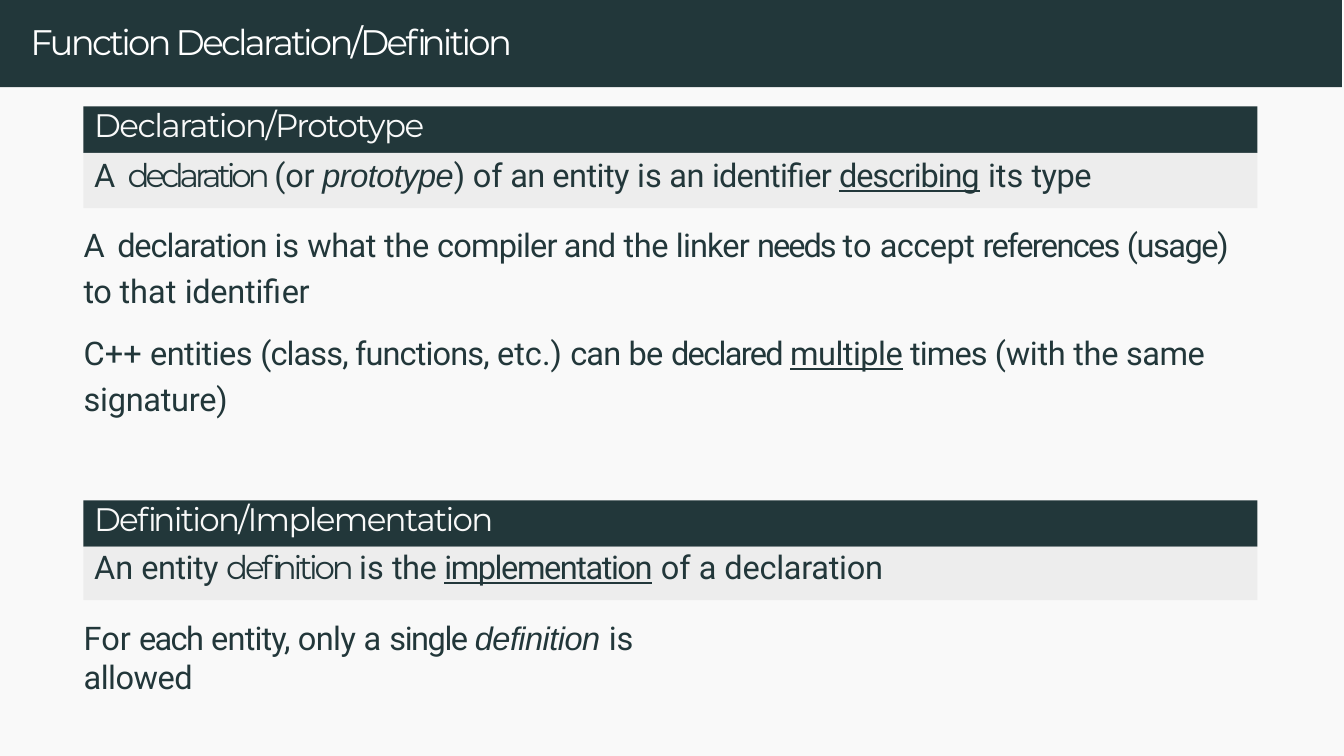
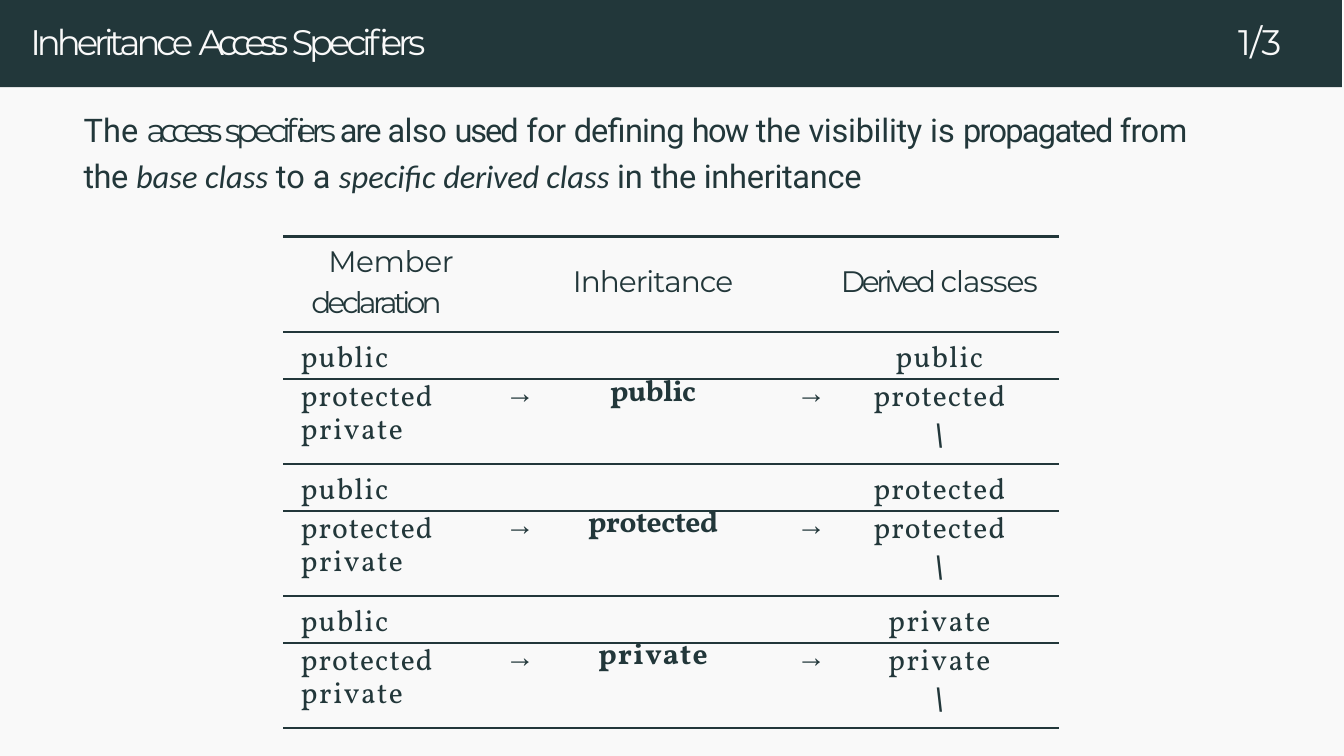
"""Two C++ lecture slides: function declarations and inheritance access specifiers."""
import pptx
import pptx.dml.color
import pptx.enum.shapes
import pptx.enum.text
import pptx.oxml.ns
import pptx.util
from lxml import etree

Pt = pptx.util.Pt
ALIGN = {
    "left": pptx.enum.text.PP_ALIGN.LEFT,
    "center": pptx.enum.text.PP_ALIGN.CENTER,
    "right": pptx.enum.text.PP_ALIGN.RIGHT,
}
COLORS = {"ink": "22373A", "paper": "F9F9F9", "panel": "EDEDED", "white": "FFFFFF"}
FONTS = {
    "body": ("Roboto", ""),
    "under": ("Roboto", "u"),
    "head": ("Montserrat", ""),
    "slant": ("Arial", "i"),
    "term": ("Calibri", "i"),
    "code": ("Vollkorn", ""),
    "strong": ("Vollkorn", "b"),
    "arrow": ("Courier New", ""),
    "slash": ("DejaVu Sans", "i"),
}
SLIDE_WIDTH, SLIDE_HEIGHT, BAND_HEIGHT = 454.32, 255.6, 29.5
NO_STYLE = "{2D5ABB26-0587-4C30-8999-92F81FD0307C}"

DECLARATION_TITLE = [("Function Declaration/Definition", -0.9, "head")]
BLOCKS = [
    (36, 18.7, 0.8, 0.72, [("Declaration/Prototype", -0.5, "head")], [
        ("A ", 0.7, "body"), ("declaration ", -1.4, "head"), ("(or ", -0.1, "body"),
        ("prototype", -0.2, "slant"), (") ", -0.2, "body"), ("of", 0, "body"),
        (" an entity ", -0.2, "body"), ("is", 0, "body"), (" an ", -0.2, "body"),
        ("identifier ", -0.3, "body"), ("describing", -0.4, "under"),
        (" ", -0.2, "body"), ("its ", 0, "body"), ("type", -0.2, "body")]),
    (169.2, 18, 0.2, 0, [("Definition/Implementation", -0.6, "head")], [
        ("An ", 0, "body"), ("entity ", -0.2, "body"), ("definition ", -1.1, "head"),
        ("is ", 0, "body"), ("the ", -0.2, "body"), ("implementation", -0.5, "under"),
        (" ", -0.1, "body"), ("of a", 0, "body"), (" declaration", -0.1, "body")]),
]
USAGE = [
    ("A ", 0.7, "body"), ("declaration ", -0.4, "body"), ("is ", 0, "body"),
    ("what ", -0.2, "body"), ("the ", -0.1, "body"), ("compiler and ", -0.3, "body"),
    ("the", -0.1, "body"), (" linker ", -0.3, "body"), ("needs ", -0.7, "body"),
    ("to ", 0, "body"), ("accept ", -0.2, "body"), ("references ", -0.6, "body"),
    ("(usage) ", -0.5, "body"), ("to ", -0.2, "body"), ("that ", 0, "body"),
    ("identifier", -0.1, "body")]
REPEATS = [
    ("C++ ", 0, "body"), ("entities ", -0.2, "body"),
    ("(class, functions, ", -0.3, "body"), ("etc.) ", 0, "body"),
    ("can ", -0.3, "body"), ("be ", -0.2, "body"), ("declared ", -0.6, "body"),
    ("multiple", -0.2, "under"), (" times ", -0.3, "body"),
    ("(with the", -0.1, "body"), (" same ", -0.2, "body"),
    ("signature)", -0.1, "body")]
SINGLE = [
    ("For ", 0, "body"), ("each", -0.6, "body"), (" entity, ", -0.3, "body"),
    ("only ", -0.2, "body"), ("a ", 0, "body"), ("single ", -0.5, "body"),
    ("definition ", -0.2, "slant"), ("is ", 0, "body"), ("allowed", -0.2, "body")]

ACCESS_TITLE = [("Inheritance ", -1.4, "head"), ("Access ", -2.1, "head"),
                ("Specifiers", -1.4, "head")]
PAGE_COUNT = [("1/3", -0.2, "head")]
ACCESS_INTRO = [
    ("The ", 0, "body"), ("access ", -2.1, "head"), ("specifiers ", -1.6, "head"),
    ("are ", -0.7, "body"), ("also ", -0.2, "body"), ("used", -0.7, "body"),
    (" for ", -0.2, "body"), ("defining ", -0.3, "body"), ("how ", -0.6, "body"),
    ("the visibility ", -0.1, "body"), ("is ", 0, "body"),
    ("propagated ", -0.6, "body"), ("from the ", -0.2, "body"),
    ("base class ", 0, "term"), ("to a ", 0, "body"), ("specific ", 0, "term"),
    ("derived ", -0.1, "term"), ("class ", 0, "term"), ("in ", 0, "body"),
    ("the inheritance", -0.1, "body")]
HEADINGS = {
    0: [("Member ", -0.1, "head"), ("declaration", -1.2, "head")],
    2: [("Inheritance", -0.3, "head")],
    4: [("Derived ", -1.1, "head"), ("classes", -0.3, "head")],
}
MEMBERS = ("public", "protected", "private")
DERIVED = {
    "public": ("public", "protected", "\\"),
    "protected": ("protected", "protected", "\\"),
    "private": ("private", "private", "\\"),
}
TRACKING = {"public": 0.5, "protected": 0.4, "private": 0.6, "\\": 0}
STRONG_TRACKING = {"public": -0.1, "protected": -0.1, "private": 0.5}
COLUMN_WIDTHS = [66.96, 25.92, 64.08, 24.48, 80.64]
ROW_HEIGHTS = [32.4] + [15.84, 12.96, 15.84] * 3
ROW_EDGES = [1, 0.75] + [0.75, 0, 0.75] * 2 + [0.75, 0, 1]


def color(name):
    return pptx.dml.color.RGBColor.from_string(COLORS[name])


def write(para, spans, size=11, ink="ink", align="left", before=0, line=None,
          margin=0, indent=0):
    para.alignment = ALIGN[align]
    para.space_before = Pt(before)
    if line:
        para.line_spacing = line
    properties = para._p.get_or_add_pPr()
    properties.set("marL", str(int(Pt(margin))))
    properties.set("indent", str(int(Pt(indent))))
    for text, tracking, style in spans:
        span = para.add_run()
        span.text = text
        name, marks = FONTS[style]
        font = span.font
        font.name, font.size = name, Pt(size)
        font.color.rgb = color(ink)
        font.bold, font.italic, font.underline = ("b" in marks, "i" in marks, "u" in marks)
        span._r.get_or_add_rPr().set("spc", str(round(tracking * 100)))


def prepare(frame, top):
    frame.word_wrap = True
    frame.auto_size = pptx.enum.text.MSO_AUTO_SIZE.SHAPE_TO_FIT_TEXT
    frame.vertical_anchor = pptx.enum.text.MSO_ANCHOR.TOP
    frame.margin_left = frame.margin_right = frame.margin_bottom = 0
    frame.margin_top = Pt(top)
    return frame


def add_text(page, place, paragraphs, **options):
    box = page.shapes.add_textbox(*map(Pt, place))
    frame = prepare(box.text_frame, 0.9)
    for index, (before, spans) in enumerate(paragraphs):
        para = frame.add_paragraph() if index else frame.paragraphs[0]
        write(para, spans, before=before, margin=0.9, **options)


def add_bar(page, place, fill):
    bar = page.shapes.add_shape(pptx.enum.shapes.MSO_SHAPE.RECTANGLE, *map(Pt, place))
    bar.shadow.inherit = False
    bar.fill.solid()
    bar.fill.fore_color.rgb = color(fill)
    bar.line.fill.background()
    return bar


def add_page(deck, title, ink):
    page = deck.slides.add_slide(deck.slide_layouts[6])
    add_bar(page, (0, 0, SLIDE_WIDTH - 0.7, BAND_HEIGHT), "ink")
    add_text(page, (9.4, 5.8, 278.6, 16), [(0.9, title)], size=12, ink=ink)
    return page


def add_block(page, top, height, before, inset, heading, spans):
    bar = add_bar(page, (28.2, top, 396.9, 15.7), "ink")
    write(prepare(bar.text_frame, 0).paragraphs[0], heading, ink="paper",
          line=Pt(12.7), margin=3.6)
    panel = add_bar(page, (28.2, top + 15.7, 396.9, height), "panel")
    write(prepare(panel.text_frame, inset).paragraphs[0], spans, before=before, margin=3.6)


def set_edge(properties, side, width):
    edge = etree.SubElement(properties, pptx.oxml.ns.qn("a:" + side))
    edge.set("w", str(int(Pt(width))))
    if width:
        fill = etree.SubElement(edge, pptx.oxml.ns.qn("a:solidFill"))
        etree.SubElement(fill, pptx.oxml.ns.qn("a:srgbClr")).set("val", COLORS["ink"])
    else:
        etree.SubElement(edge, pptx.oxml.ns.qn("a:noFill"))


def prepare_cell(cell, row):
    cell.margin_left = cell.margin_right = cell.margin_top = cell.margin_bottom = 0
    properties = cell._tc.get_or_add_tcPr()
    widths = {"lnL": 0, "lnR": 0, "lnT": ROW_EDGES[row], "lnB": ROW_EDGES[row + 1]}
    for side, width in widths.items():
        set_edge(properties, side, width)
    cell.fill.background()


def fill_cell(cell, spans, top=0, **options):
    cell.margin_top = Pt(top)
    write(cell.text_frame.paragraphs[0], spans, size=10, **options)


def add_access_table(page):
    frame = page.shapes.add_table(len(ROW_HEIGHTS), len(COLUMN_WIDTHS), Pt(95.8), Pt(79.9),
                                  Pt(sum(COLUMN_WIDTHS)), Pt(sum(ROW_HEIGHTS)))
    table = frame.table
    table.first_row = table.horz_banding = False
    table._tbl.tblPr.find(pptx.oxml.ns.qn("a:tableStyleId")).text = NO_STYLE
    for column, width in zip(table.columns, COLUMN_WIDTHS):
        column.width = Pt(width)
    for index, height in enumerate(ROW_HEIGHTS):
        table.rows[index].height = Pt(height)
        for cell in table.rows[index].cells:
            prepare_cell(cell, index)

    fill_cell(table.cell(0, 0), HEADINGS[0], top=0.9, before=0.9, line=1.15,
              margin=9.4, indent=5.8)
    for column in (2, 4):
        fill_cell(table.cell(0, column), HEADINGS[column], top=9.4, before=9.6, align="center")

    layouts = ({"top": 2.5, "before": 2.5}, {"before": 0.1}, {"line": Pt(12)})
    for group, (access, results) in enumerate(DERIVED.items()):
        first = 1 + group * len(MEMBERS)
        for step, (member, result, layout) in enumerate(zip(MEMBERS, results, layouts)):
            fill_cell(table.cell(first + step, 0), [(member, TRACKING[member], "code")],
                      margin=5.8, **layout)
            style = "slash" if result == "\\" else "code"
            fill_cell(table.cell(first + step, 4), [(result, TRACKING[result], style)],
                      align="center", **layout)
        middle = first + 1
        for column, align in ((1, "center"), (3, "right")):
            fill_cell(table.cell(middle, column), [("→", 0, "arrow")], before=0.1, align=align)
        fill_cell(table.cell(middle, 2), [(access, STRONG_TRACKING[access], "strong")],
                  before=0.2, line=Pt(11.9), align="center")

    for cell in table.iter_cells():
        if not cell.text:
            para = cell.text_frame.paragraphs[0]
            etree.SubElement(para._p, pptx.oxml.ns.qn("a:endParaRPr")).set("sz", "800")


def main():
    deck = pptx.Presentation()
    deck.slide_width, deck.slide_height = Pt(SLIDE_WIDTH), Pt(SLIDE_HEIGHT)
    backdrop = deck.slide_master.background.fill
    backdrop.solid()
    backdrop.fore_color.rgb = color("paper")

    page = add_page(deck, DECLARATION_TITLE, "white")
    for block in BLOCKS:
        add_block(page, *block)
    add_text(page, (27.4, 72.7, 398.9, 69.8), [(1, USAGE), (5.5, REPEATS)], line=1.18)
    add_text(page, (27.4, 208.1, 226.1, 15.1), [(0.9, SINGLE)])

    page = add_page(deck, ACCESS_TITLE, "paper")
    add_text(page, (417.6, 5.8, 21.6, 16.6), [(0.9, PAGE_COUNT)], size=12, ink="paper")
    add_text(page, (27.4, 33.8, 391, 33.1), [(1, ACCESS_INTRO)], line=1.18)
    add_access_table(page)
    deck.save("out.pptx")


main()
